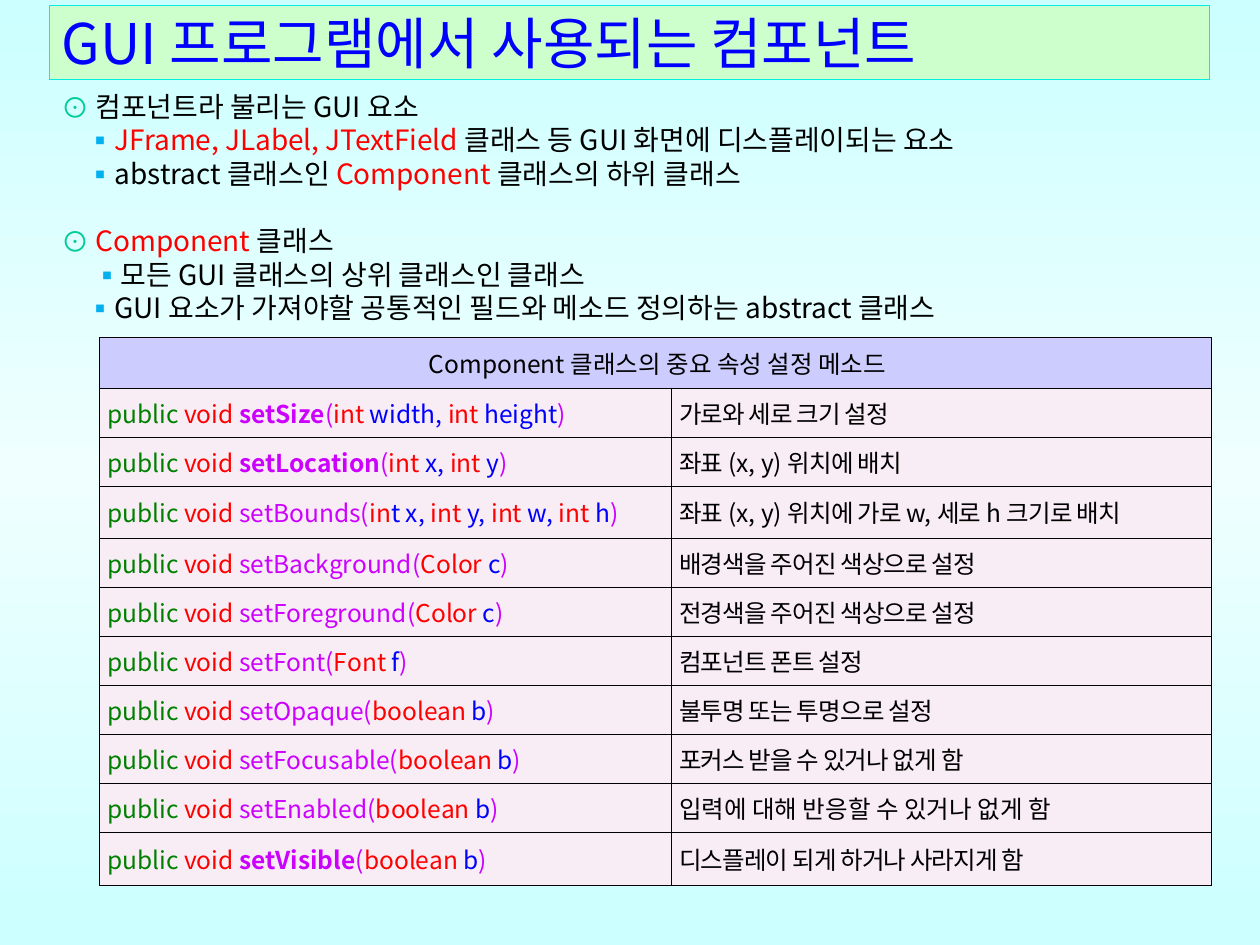
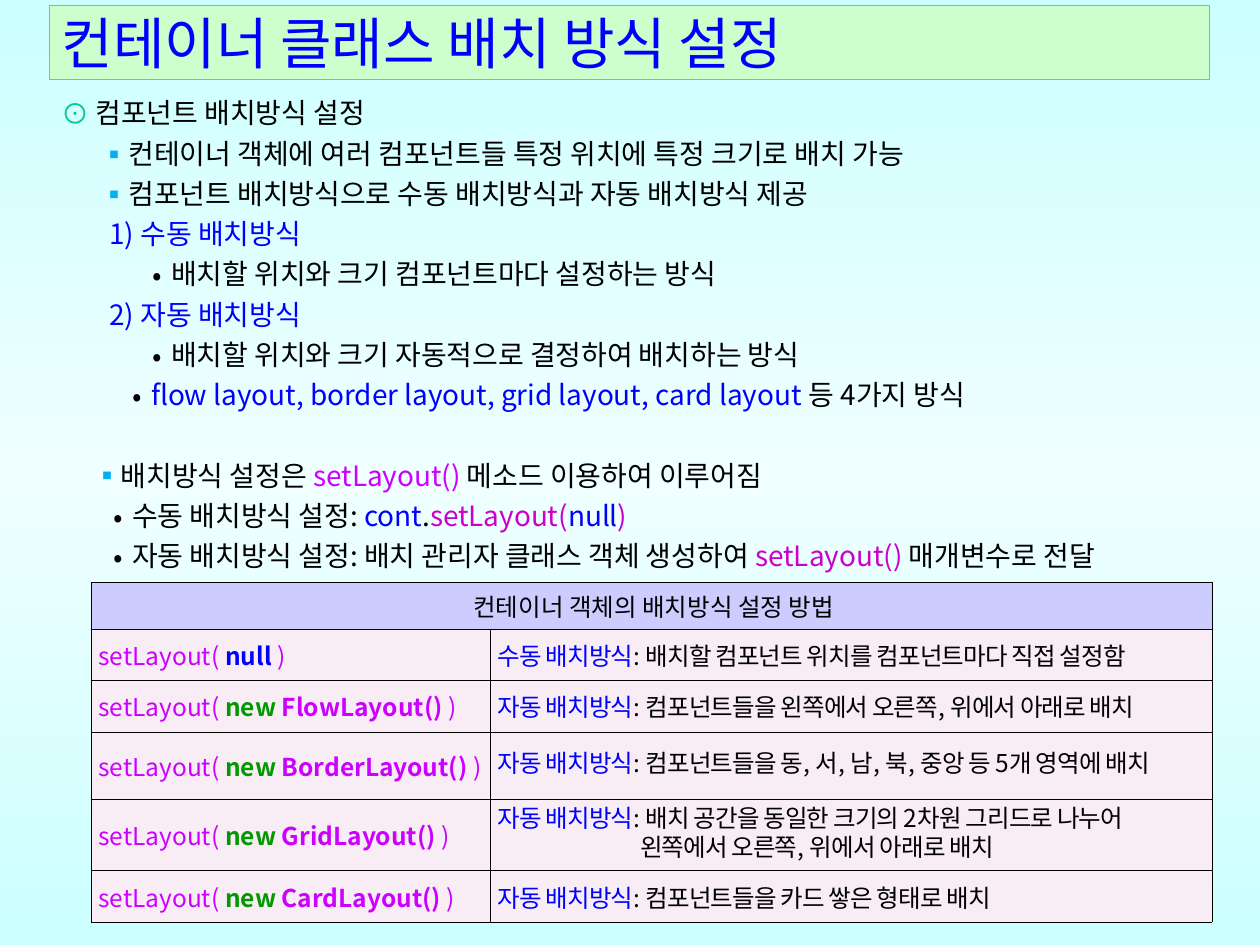
from copy import deepcopy
from itertools import cycle

from lxml.etree import SubElement
from pptx import Presentation
from pptx.dml.color import RGBColor
from pptx.enum.text import MSO_ANCHOR, MSO_AUTO_SIZE, PP_ALIGN
from pptx.oxml.ns import qn
from pptx.util import Inches, Pt

FONT = "Noto Sans CJK KR"
BLACK = RGBColor(0x00, 0x00, 0x00)
RED = RGBColor(0xFF, 0x00, 0x00)
BLUE = RGBColor(0x00, 0x00, 0xFF)
GREEN = RGBColor(0x00, 0x80, 0x00)
NEW_GREEN = RGBColor(0x00, 0x99, 0x00)
PURPLE = RGBColor(0xCC, 0x00, 0xFF)
MAGENTA = RGBColor(0xCC, 0x00, 0xCC)
TEAL = RGBColor(0x00, 0xCC, 0x99)
SKY = RGBColor(0x00, 0xB0, 0xF0)
TITLE_FILL = RGBColor(0xCC, 0xFF, 0xCC)
TITLE_LINE = RGBColor(0x03, 0xED, 0xE2)
HEAD_FILL = RGBColor(0xCC, 0xCC, 0xFF)
ROW_FILL = RGBColor(0xF9, 0xED, 0xF5)
BG_EDGE = RGBColor(0xCC, 0xFF, 0xFF)
BG_MIDDLE = RGBColor(0xF0, 0xFF, 0xFF)

# Bullet character: colour and hanging width in inches
BULLETS = {"⊙": (TEAL, 0.27), "▪": (SKY, 0.21), "•": (BLACK, 0.15)}


def add_runs(p, size, runs):
    """Each run is (text, colour), then optionally bold and tight spacing."""
    for text, colour, *options in runs:
        bold, tight = (options + [False, False])[:2]
        r = p.add_run()
        r.text = text
        r.font.size = Pt(size)
        r.font.name = FONT
        r.font.bold = bold
        r.font.color.rgb = colour
        rPr = r.font._element
        SubElement(rPr, qn("a:ea")).set("typeface", FONT)
        if tight:
            rPr.set("spc", "-50")


def describe(*parts):
    """Black runs, with the Korean ones set tight."""
    return [(t, BLACK, False, any(ch >= "가" for ch in t)) for t in parts]


# Body paragraphs: bullet, left edge in inches, blank line before, runs
component_body = [
    ("⊙", 0, False, [("컴포넌트라 불리는 GUI 요소", BLACK)]),
    ("▪", 0.2, False, [("JFrame, JLabel, JTextField ", RED),
                       ("클래스 등 GUI 화면에 디스플레이되는 요소", BLACK)]),
    ("▪", 0.2, False, [("abstract 클래스인 ", BLACK), ("Component ", RED),
                       ("클래스의 하위 클래스", BLACK)]),
    ("⊙", 0, True, [("Component ", RED), ("클래스", BLACK)]),
    ("▪", 0.25, False, [("모든 GUI 클래스의 상위 클래스인 클래스", BLACK)]),
    ("▪", 0.2, False,
     [("GUI 요소가 가져야할 공통적인 필드와 메소드 정의하는 abstract 클래스", BLACK)]),
]

layout_body = [
    ("⊙", 0, False, [("컴포넌트 배치방식 설정", BLACK)]),
    ("▪", 0.31, False,
     [("컨테이너 객체에 여러 컴포넌트들 특정 위치에 특정 크기로 배치 가능", BLACK)]),
    ("▪", 0.31, False, [("컴포넌트 배치방식으로 수동 배치방식과 자동 배치방식 제공", BLACK)]),
    (None, 0.38, False, [("1) 수동 배치방식", BLUE)]),
    ("•", 0.72, False, [("배치할 위치와 크기 컴포넌트마다 설정하는 방식", BLACK)]),
    (None, 0.38, False, [("2) 자동 배치방식", BLUE)]),
    ("•", 0.72, False, [("배치할 위치와 크기 자동적으로 결정하여 배치하는 방식", BLACK)]),
    ("•", 0.56, False,
     [("flow layout, border layout, grid layout, card layout ", BLUE),
      ("등 4가지 방식", BLACK)]),
    ("▪", 0.25, True, [("배치방식 설정은 ", BLACK), ("setLayout() ", PURPLE),
                       ("메소드 이용하여 이루어짐", BLACK)]),
    ("•", 0.41, False, [("수동 배치방식 설정: ", BLACK), ("cont", BLUE), (".", BLACK),
                        ("setLayout(", MAGENTA), ("null", BLUE), (")", MAGENTA)]),
    ("•", 0.41, False, [("자동 배치방식 설정: 배치 관리자 클래스 객체 생성하여 ", BLACK),
                        ("setLayout() ", MAGENTA), ("매개변수로 전달", BLACK)]),
]

# Method name, bold, alternating type and argument, description
methods = [
    ("setSize", True, ["int", " width, ", "int", " height"], ["가로와 세로 크기 설정"]),
    ("setLocation", True, ["int ", "x, ", "int ", "y"],
     ["좌표 ", "(x, y) ", "위치에 배치"]),
    ("setBounds", False, ["in", "t x, ", "int ", "y, ", "int ", "w,", " int ", "h"],
     ["좌표 ", "(x, y) ", "위치에 가로 ", "w, ", "세로 ", "h ", "크기로 배치"]),
    ("setBackground", False, ["Color ", "c"], ["배경색을 주어진 색상으로 설정"]),
    ("setForeground", False, ["Color ", "c"], ["전경색을 주어진 색상으로 설정"]),
    ("setFont", False, ["Font ", "f"], ["컴포넌트 폰트 설정"]),
    ("setOpaque", False, ["boolean ", "b"], ["불투명 또는 투명으로 설정"]),
    ("setFocusable", False, ["boolean ", "b"], ["포커스 받을 수 있거나 없게 함"]),
    ("setEnabled", False, ["boolean ", "b"], ["입력에 대해 반응할 수 있거나 없게 함"]),
    ("setVisible", True, ["boolean ", "b"], ["디스플레이 되게 하거나 사라지게 함"]),
]
# Table rows: a list of paragraphs for each cell, a paragraph being (indent, runs)
method_rows = []
for name, bold, args, text in methods:
    signature = [("public ", GREEN), ("void ", RED), (name, PURPLE, bold), ("(", PURPLE),
                 *zip(args, cycle([RED, BLUE])), (")", PURPLE)]
    description = describe(*text)
    if name == "setEnabled":
        description = [(text[0], BLACK)]
    method_rows.append(([(0.03, signature)], [(0.03, description)]))

# Layout manager, kind of layout, description lines
managers = [
    (None, "수동 배치방식", [["배치할 컴포넌트 위치를 컴포넌트마다 직접 설정함"]]),
    ("FlowLayout", "자동 배치방식",
     [["컴포넌트들을 왼쪽에서 오른쪽", ", ", "위에서 아래로 배치"]]),
    ("BorderLayout", "자동 배치방식",
     [["컴포넌트들을 동", ", ", "서", ", ", "남", ", ", "북", ", ", "중앙 등 ", "5",
       "개 영역에 배치"]]),
    ("GridLayout", "자동 배치방식",
     [["배치 공간을 동일한 크기의 ", "2", "차원 그리드로 나누어"],
      ["왼쪽에서 오른쪽", ", ", "위에서 아래로 배치"]]),
    ("CardLayout", "자동 배치방식", [["컴포넌트들을 카드 쌓은 형태로 배치"]]),
]
manager_rows = []
for manager, kind, lines in managers:
    argument = [("null ", BLUE, True)]
    if manager:
        argument = [("new ", NEW_GREEN, True), (f"{manager}() ", PURPLE, True)]
    call = [("setLayout( ", PURPLE), *argument, (")", PURPLE)]
    first, *rest = lines
    texts = [(0.03, [(kind, BLUE, False, True), *describe(": ", *first)])]
    texts += [(1.16, describe(*line)) for line in rest]
    manager_rows.append(([(0.03, call)], texts))

# Title, body height, line pitch (pt), body, table place, columns, row heights, head, rows
slides = [
    ("GUI 프로그램에서 사용되는 컴포넌트", 1.99, 19.2, component_body,
     (0.79, 2.68), [4.54, 4.28], [0.4, 0.39, 0.39, 0.41] + [0.39] * 6 + [0.42],
     "Component 클래스의 중요 속성 설정 메소드", method_rows),
    ("컨테이너 클래스 배치 방식 설정", 3.98, 23, layout_body,
     (0.72, 4.62), [3.17, 5.73], [0.37, 0.41, 0.41, 0.53, 0.57, 0.41],
     "컨테이너 객체의 배치방식 설정 방법", manager_rows),
]

prs = Presentation()
prs.slide_width = Inches(10)
prs.slide_height = Inches(7.5)

# Shared background: light band across the middle
master = prs.slide_master
fill = master.background.fill
fill.gradient()
fill.gradient_angle = 270
gs_list = master.element.find(".//" + qn("a:gsLst"))
gs_list.insert(1, deepcopy(gs_list[0]))
for stop, position, colour in zip(fill.gradient_stops, (0, 0.5, 1),
                                  (BG_EDGE, BG_MIDDLE, BG_EDGE)):
    stop.position = position
    stop.color.rgb = colour

for title, body_h, pitch, body, place, cols, heights, head, rows in slides:
    s = prs.slides.add_slide(prs.slide_layouts[5])

    # Title band
    sp = s.shapes.title
    sp.left, sp.top, sp.width, sp.height = map(Inches, (0.39, 0.04, 9.21, 0.59))
    sp.fill.solid()
    sp.fill.fore_color.rgb = TITLE_FILL
    sp.line.color.rgb = TITLE_LINE
    sp.line.width = Pt(0.25)
    tf = sp.text_frame
    tf.auto_size = MSO_AUTO_SIZE.NONE
    tf.vertical_anchor = MSO_ANCHOR.MIDDLE
    tf.paragraphs[0].alignment = PP_ALIGN.LEFT
    add_runs(tf.paragraphs[0], 32, [(title, BLUE)])

    # Bulleted body
    sp = s.shapes.add_textbox(*map(Inches, (0.39, 0.66, 9.21, body_h)))
    tf = sp.text_frame
    tf.word_wrap = True
    tf.auto_size = MSO_AUTO_SIZE.SHAPE_TO_FIT_TEXT
    for i, (bullet, left, gap, runs) in enumerate(body):
        p = tf.add_paragraph() if i else tf.paragraphs[0]
        p.alignment = PP_ALIGN.JUSTIFY
        p.line_spacing = Pt(pitch)
        if gap:
            p.space_before = Pt(pitch)
        pPr = p._p.get_or_add_pPr()
        colour, hang = BULLETS.get(bullet, (BLACK, 0))
        pPr.set("marL", str(Inches(left + hang)))
        pPr.set("indent", str(Inches(-hang)))
        if bullet:
            bu_colour = SubElement(pPr, qn("a:buClr"))
            SubElement(bu_colour, qn("a:srgbClr")).set("val", str(colour))
            SubElement(pPr, qn("a:buFont")).set("typeface", FONT)
            SubElement(pPr, qn("a:buChar")).set("char", bullet)
        add_runs(p, 16, runs)

    # Method table
    frame = s.shapes.add_table(len(heights), 2, *map(Inches, place),
                               Inches(sum(cols)), Inches(sum(heights)))
    table = frame.table
    for column, width in zip(table.columns, cols):
        column.width = Inches(width)
    for row, height in zip(table.rows, heights):
        row.height = Inches(height)
    table.cell(0, 0).merge(table.cell(0, 1))
    head_row = ([(0.04, [(head, BLACK)])], [])
    for r_no, row in enumerate([head_row, *rows]):
        for c_no, paragraphs in enumerate(row):
            cell = table.cell(r_no, c_no)
            cell.margin_left = cell.margin_right = Inches(0.03)
            cell.margin_top = cell.margin_bottom = Inches(0.03)
            cell.vertical_anchor = MSO_ANCHOR.MIDDLE
            tcPr = cell._tc.get_or_add_tcPr()
            for side in ("a:lnL", "a:lnR", "a:lnT", "a:lnB"):
                ln = SubElement(tcPr, qn(side), w=str(Pt(0.25)))
                solid = SubElement(ln, qn("a:solidFill"))
                SubElement(solid, qn("a:srgbClr")).set("val", str(BLACK))
            cell.fill.solid()
            cell.fill.fore_color.rgb = ROW_FILL if r_no else HEAD_FILL
            tf = cell.text_frame
            for i, (left, runs) in enumerate(paragraphs):
                p = tf.add_paragraph() if i else tf.paragraphs[0]
                p.alignment = PP_ALIGN.JUSTIFY if c_no else PP_ALIGN.LEFT
                if r_no == 0:
                    p.alignment = PP_ALIGN.CENTER
                elif c_no and heights[r_no] > 0.5:
                    p.line_spacing = Pt(16.8)
                p._p.get_or_add_pPr().set("marL", str(Inches(left)))
                add_runs(p, 14, runs)

prs.save("out.pptx")
